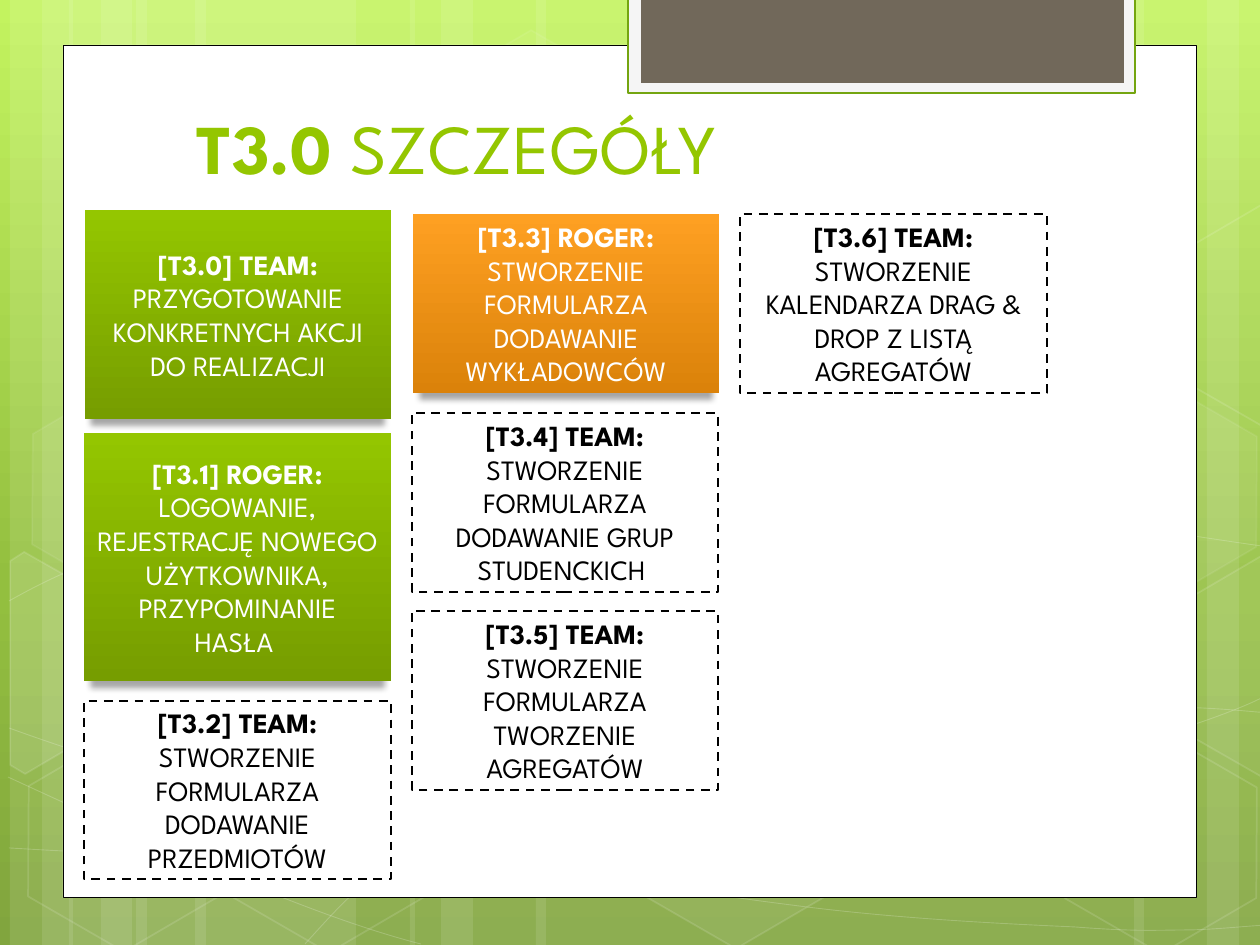
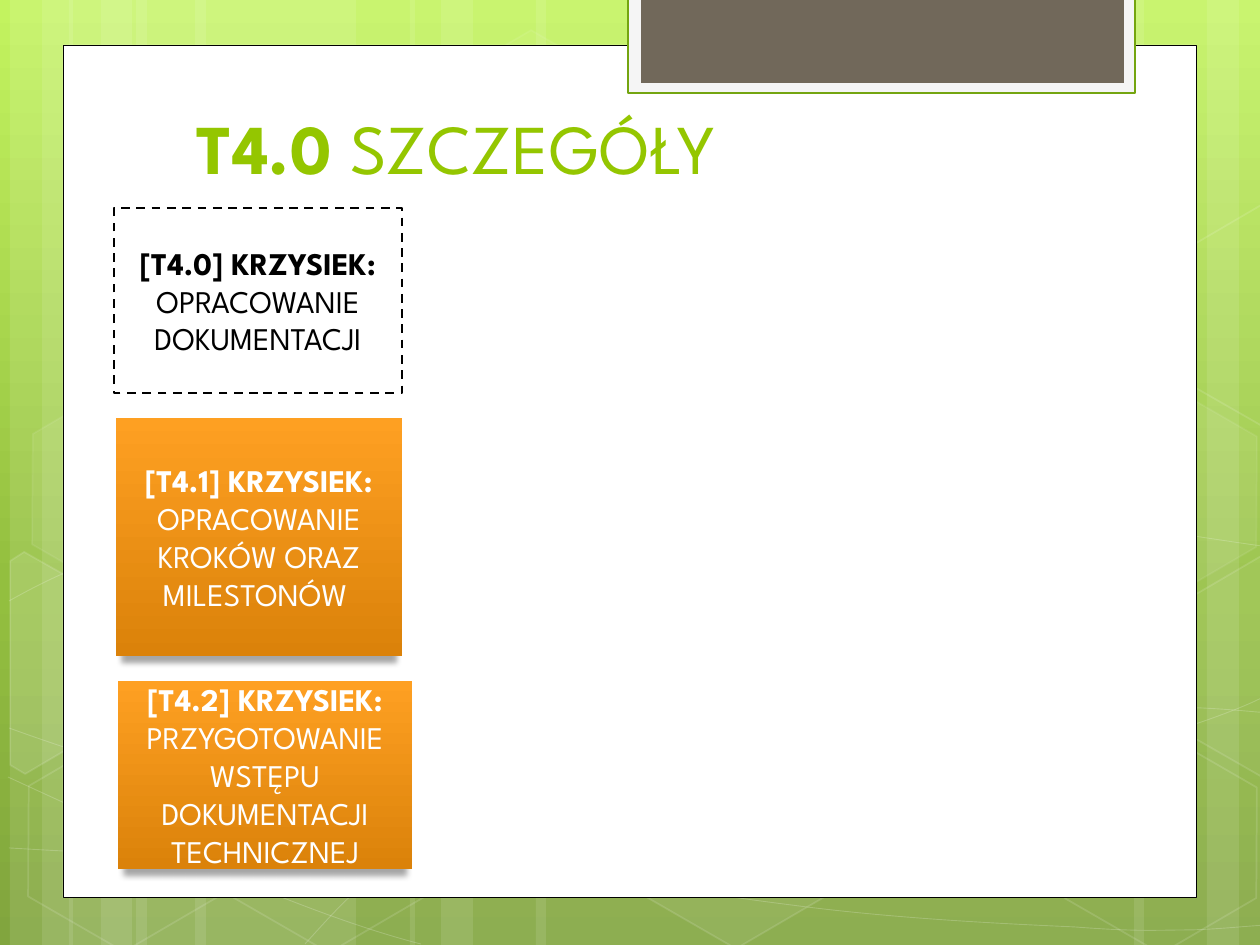
"""Build two task-detail slides on one shared green layout."""
import copy
import math

import pptx
import pptx.dml.color
import pptx.enum.dml
import pptx.enum.shapes
import pptx.enum.text
import pptx.oxml.ns
import pptx.util
from lxml import etree

SCALE = 914400 / 126
WIDTH, HEIGHT = 1260, 945
FONT = "League Spartan"
WHITE, BLACK, GREEN = "FFFFFF", "000000", "94C600"
BACKGROUND = [(0, "C3F35F"), (0.62, "93BF3F"), (1, "81A53E")]
CARD_FILLS = {
    "green": [(0, GREEN), (1, "769D00")],
    "orange": [(0, "FEA022"), (1, "DB820A")],
}
RECT = pptx.enum.shapes.MSO_SHAPE.RECTANGLE
HEXAGON = pptx.enum.shapes.MSO_SHAPE.HEXAGON
ANCHOR = pptx.enum.text.MSO_ANCHOR
ALIGN = pptx.enum.text.PP_ALIGN

# left, width of the translucent background bars
BAR_TRIO = [(126, 220), (0, 63), (32, 105)]
BARS = [(x + dx, w) for x in (10, 69) for dx, w in BAR_TRIO]
BARS += [(924, 220), (1207, 63), (1134, 105), (536, 388), (410, 63), (441, 105)]

# left, top, fill opacity, line opacity
HEXAGONS = [
    (421, 45, 4, 8), (626, 742, 6, 12), (14, 745, 0, 12), (18, 393, 7, 8),
    (219, 746, 0, 12), (949, 571, 10, 12), (1051, 747, 0, 12), (1051, 396, 7, 8),
]

# start point, then three points for each cubic segment
CURVES = [
    [(9, 848), (77, 852), (145, 856), (239, 854), (334, 853), (451, 851),
     (577, 838), (703, 825), (882, 802), (998, 777), (1113, 753),
     (1231, 716), (1269, 694)],
    [(9, 601), (45, 581), (82, 562), (152, 543), (224, 524), (326, 496),
     (437, 488), (549, 479), (685, 478), (824, 488), (963, 498),
     (1193, 537), (1269, 547)],
    [(8, 777), (160, 847), (311, 916), (421, 944)],
    [(9, 728), (48, 742), (88, 756), (161, 776), (233, 795), (344, 827),
     (450, 848), (554, 869), (687, 892), (791, 905), (896, 919), (1008, 924),
     (1075, 927), (1140, 932), (1158, 930), (1191, 930), (1223, 929),
     (1246, 926), (1269, 925)],
    [(305, 944), (328, 919), (350, 893), (381, 871), (411, 848), (454, 823),
     (489, 805), (524, 788), (546, 780), (592, 767), (638, 755), (722, 737),
     (766, 728), (811, 719), (818, 719), (857, 717), (896, 713), (958, 709),
     (1000, 708), (1045, 707), (1116, 708), (1116, 708), (1144, 708),
     (1173, 708), (1201, 708), (1223, 709), (1245, 711), (1256, 712),
     (1268, 713), (1264, 712), (1268, 713)],
]

# hexagons cut by the slide edge: points, centre, fill opacity
LEFT_CUT = [(10, 561), (24, 552), (121, 607), (120, 718), (25, 774), (10, 765)]
RIGHT_CUT = [(1167, 611), (1261, 556), (1271, 562), (1271, 772), (1263, 777),
             (1167, 722)]
CUT_HEXAGONS = [
    (LEFT_CUT, (45, 674), 10),
    (RIGHT_CUT, (1241, 655), 4),
    ([(x, y - 351) for x, y in RIGHT_CUT], (1241, 304), 0),
]

# box, kind, bold label, task
TASKS_3 = [
    ((85, 210, 306, 209), "green", "[T3.0] TEAM: ",
     "PRZYGOTOWANIE KONKRETNYCH AKCJI DO REALIZACJI"),
    ((84, 433, 307, 248), "green", "[T3.1] ROGER: ",
     "LOGOWANIE, REJESTRACJĘ NOWEGO UŻYTKOWNIKA, PRZYPOMINANIE HASŁA "),
    ((84, 701, 307, 178), "dashed", "[T3.2] TEAM: ",
     "STWORZENIE FORMULARZA DODAWANIE PRZEDMIOTÓW"),
    ((413, 214, 306, 179), "orange", "[T3.3] ROGER: ",
     "STWORZENIE FORMULARZA DODAWANIE WYKŁADOWCÓW"),
    ((412, 413, 306, 179), "dashed", "[T3.4] TEAM: ",
     "STWORZENIE FORMULARZA DODAWANIE GRUP STUDENCKICH "),
    ((412, 611, 306, 179), "dashed", "[T3.5] TEAM: ",
     "STWORZENIE FORMULARZA TWORZENIE AGREGATÓW"),
    ((740, 214, 307, 179), "dashed", "[T3.6] TEAM: ",
     "STWORZENIE KALENDARZA DRAG & DROP Z LISTĄ AGREGATÓW"),
]
TASKS_4 = [
    ((114, 208, 288, 185), "dashed", "[T4.0] KRZYSIEK: ",
     "OPRACOWANIE DOKUMENTACJI"),
    ((116, 418, 286, 238), "orange", "[T4.1] KRZYSIEK: ",
     "OPRACOWANIE KROKÓW ORAZ MILESTONÓW "),
    ((118, 681, 294, 188), "orange", "[T4.2] KRZYSIEK: ",
     "PRZYGOTOWANIE WSTĘPU DOKUMENTACJI TECHNICZNEJ"),
]


def emu(px):
    """Turn pixels into EMU."""
    return pptx.util.Emu(round(px * SCALE))


def rgb(value):
    """Turn a hex string into a colour."""
    return pptx.dml.color.RGBColor.from_string(value)


def set_all(obj, **values):
    """Set attributes from a dict of format values."""
    for name, value in values.items():
        setattr(obj, name, value)


def fill_solid(fill, color, opacity=100):
    """Fill with one colour, translucent below 100 percent, none at 0."""
    if not opacity:
        fill.background()
        return
    fill.solid()
    fill.fore_color.rgb = rgb(color)
    if opacity < 100:
        clr = fill._xPr.find(".//" + pptx.oxml.ns.qn("a:srgbClr"))
        etree.SubElement(clr, pptx.oxml.ns.qn("a:alpha"), val=str(opacity * 1000))


def fill_gradient(fill, stops):
    """Fill from top to bottom through the given stops."""
    fill.gradient()
    fill.gradient_angle = 270
    first = fill.gradient_stops[0]._gs
    for _ in stops[2:]:
        first.addnext(copy.deepcopy(first))
    for stop, (position, color) in zip(fill.gradient_stops, stops):
        stop.position = position
        stop.color.rgb = rgb(color)


def outline(sp, color, width, opacity=100):
    """Draw the outline of a shape."""
    sp.line.width = pptx.util.Pt(width)
    fill_solid(sp.line.fill, color, opacity)


def add_box(s, box, color, opacity=100, preset=RECT):
    """Add a flat preset shape without outline."""
    sp = s.shapes.add_shape(preset, *map(emu, box))
    sp.shadow.inherit = False
    fill_solid(sp.fill, color, opacity)
    sp.line.fill.background()
    return sp


def add_free(s, points, close):
    """Add an unfilled outline through the points."""
    points = [(emu(x), emu(y)) for x, y in points]
    builder = s.shapes.build_freeform(*points[0])
    builder.add_line_segments(points[1:], close=close)
    sp = builder.convert_to_shape()
    sp.shadow.inherit = False
    sp.fill.background()
    return sp


def add_curve(s, points):
    """Add an open chain of cubic segments."""
    qn = pptx.oxml.ns.qn
    sp = add_free(s, points, False)
    lines = list(sp._element.iter(qn("a:lnTo")))
    for i in range(0, len(lines), 3):
        cubic = etree.Element(qn("a:cubicBezTo"))
        lines[i].addprevious(cubic)
        for line in lines[i:i + 3]:
            cubic.append(line[0])
            line.getparent().remove(line)
    return sp


def turn(points, centre, degrees):
    """Rotate points about a centre."""
    cos, sin = math.cos(math.radians(degrees)), math.sin(math.radians(degrees))
    cx, cy = centre
    return [(cx + (x - cx) * cos - (y - cy) * sin,
             cy + (x - cx) * sin + (y - cy) * cos) for x, y in points]


def add_drop_shadow(sp):
    """Give a shape a soft shadow below it."""
    qn = pptx.oxml.ns.qn
    effects = sp._element.spPr.find(qn("a:effectLst"))
    shadow = etree.SubElement(
        effects, qn("a:outerShdw"), blurRad="44450", dist="50800", dir="5400000",
        sx="96000", sy="96000", algn="b", rotWithShape="0")
    clr = etree.SubElement(shadow, qn("a:srgbClr"), val=BLACK)
    etree.SubElement(clr, qn("a:alpha"), val="34000")


def write(tf, label, text, size, color, align, anchor):
    """Write a bold label followed by regular text."""
    set_all(tf, word_wrap=True, vertical_anchor=anchor,
            auto_size=pptx.enum.text.MSO_AUTO_SIZE.NONE)
    p = tf.paragraphs[0]
    p.alignment = align
    for part, bold in ((label, True), (text, False)):
        r = p.add_run()
        r.text = part
        set_all(r.font, name=FONT, size=pptx.util.Pt(size), bold=bold)
        r.font.color.rgb = rgb(color)


def add_card(s, box, kind, label, text, size):
    """Add a task card, dashed or gradient."""
    sp = add_box(s, box, WHITE)
    if kind == "dashed":
        outline(sp, BLACK, 1.25)
        sp.line.dash_style = pptx.enum.dml.MSO_LINE.DASH
    else:
        fill_gradient(sp.fill, CARD_FILLS[kind])
        add_drop_shadow(sp)
    write(sp.text_frame, label, text, size, BLACK if kind == "dashed" else WHITE,
          ALIGN.CENTER, ANCHOR.MIDDLE)


def draw_decor(s):
    """Draw bars, curves, hexagons, the white panel and the top tab."""
    for x, w in BARS:
        add_box(s, (x, 0, w, HEIGHT), WHITE, 10)
    for points in CURVES:
        outline(add_curve(s, points), WHITE, 0.5, 20)
    for x, y, opacity, line_opacity in HEXAGONS:
        sp = add_box(s, (x, y, 220, 192), WHITE, opacity, HEXAGON)
        sp.adjustments[0] = 0.285
        sp.rotation = 30
        outline(sp, WHITE, 1, line_opacity)
    for points, centre, opacity in CUT_HEXAGONS:
        sp = add_free(s, turn(points, centre, -30), True)
        sp.rotation = 30
        fill_solid(sp.fill, WHITE, opacity)
        outline(sp, WHITE, 1, 12)
    outline(add_box(s, (63, 45, 1134, 853), WHITE), BLACK, 0.5)
    outline(add_box(s, (628, -3, 507, 96), "F5F5F5"), "74A510", 1.25)
    add_box(s, (641, -3, 483, 86), "71685A")


def share_decor(layout, s):
    """Put the background and decoration on the layout of the slides."""
    for sp in list(layout.placeholders):
        if sp.placeholder_format.idx:
            sp._element.getparent().remove(sp._element)
    fill_gradient(layout.background.fill, BACKGROUND)
    draw_decor(s)
    for sp in list(s.shapes):
        if not sp.is_placeholder:
            layout.shapes._spTree.append(sp._element)


def add_tasks(s, number, tasks, size):
    """Write the title and the task cards of one slide."""
    title = s.shapes.title
    set_all(title, left=emu(184), top=emu(95), width=emu(968), height=emu(100))
    write(title.text_frame, number + " ", "SZCZEGÓŁY", 40, GREEN,
          ALIGN.LEFT, ANCHOR.BOTTOM)
    for task in tasks:
        add_card(s, *task, size)


def main():
    """Build and save the deck."""
    prs = pptx.Presentation()
    set_all(prs, slide_width=emu(WIDTH), slide_height=emu(HEIGHT))
    layout = prs.slide_layouts[5]
    slides = [prs.slides.add_slide(layout) for _ in range(2)]
    share_decor(layout, slides[0])
    add_tasks(slides[0], "T3.0", TASKS_3, 16)
    add_tasks(slides[1], "T4.0", TASKS_4, 18)
    prs.save("out.pptx")


main()
